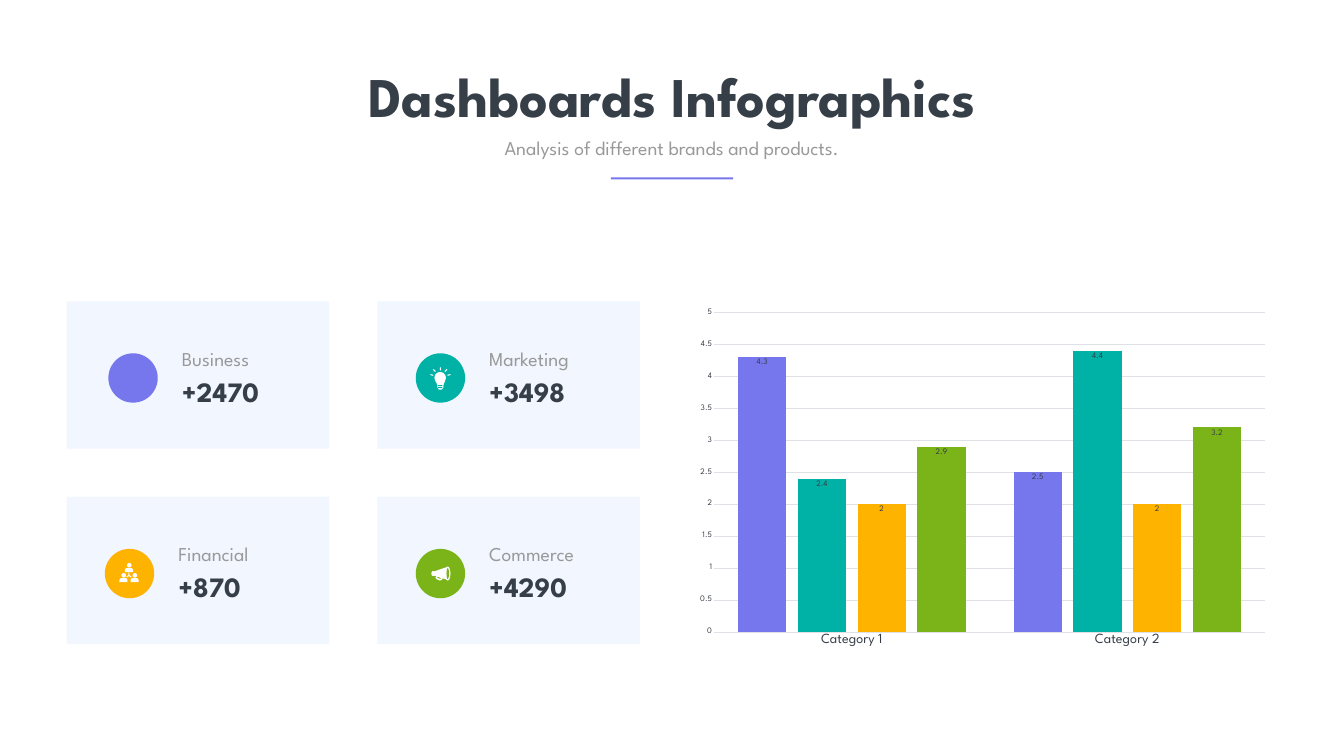
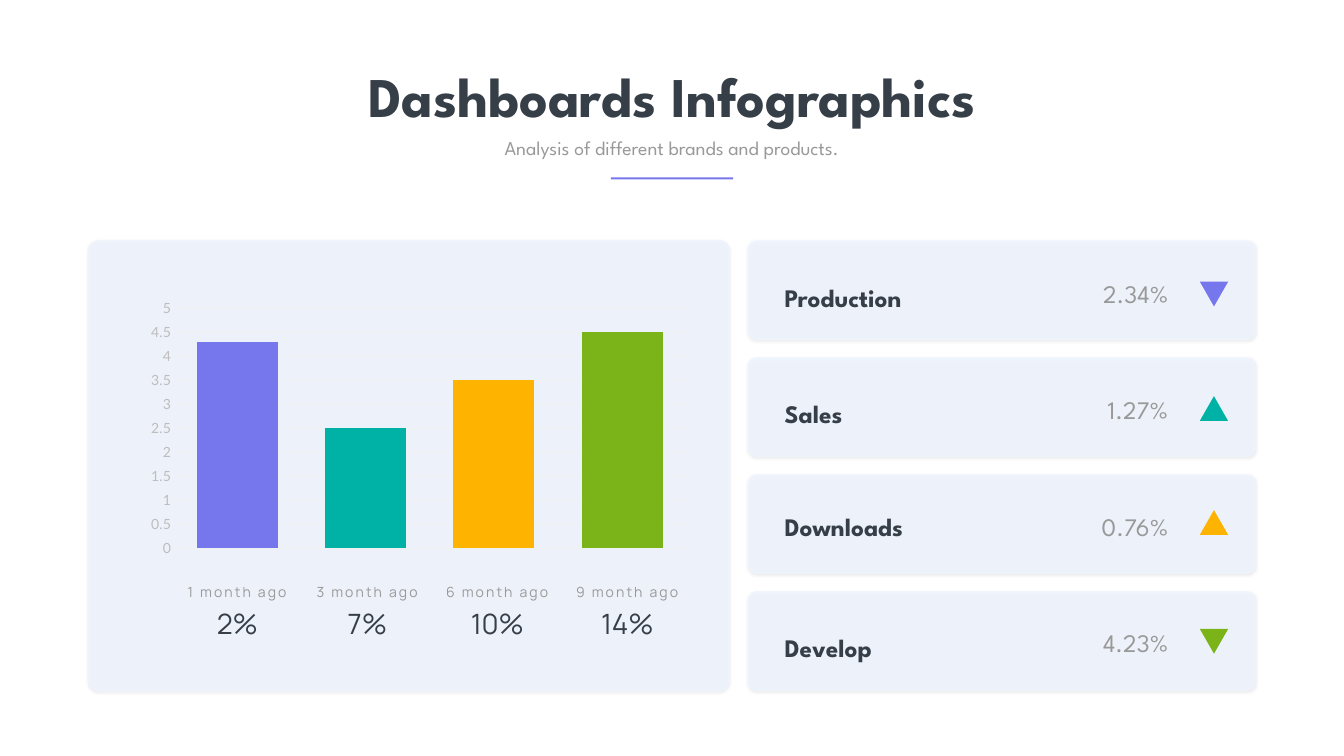
from dataclasses import dataclass

from lxml import etree
from pptx import Presentation
from pptx.chart.data import CategoryChartData
from pptx.dml.color import RGBColor
from pptx.enum.chart import XL_CHART_TYPE, XL_LABEL_POSITION, XL_TICK_MARK
from pptx.enum.shapes import MSO_SHAPE
from pptx.enum.text import MSO_AUTO_SIZE, PP_ALIGN
from pptx.oxml.ns import qn
from pptx.util import Inches, Pt

RECT = MSO_SHAPE.RECTANGLE
ROUNDED = MSO_SHAPE.ROUNDED_RECTANGLE
OVAL = MSO_SHAPE.OVAL
TRIANGLE = MSO_SHAPE.ISOSCELES_TRIANGLE
SHOULDERS = MSO_SHAPE.ROUND_2_SAME_RECTANGLE
COLUMNS = XL_CHART_TYPE.COLUMN_CLUSTERED
INSIDE_END = XL_LABEL_POSITION.INSIDE_END
NO_TICK = XL_TICK_MARK.NONE
LEFT, CENTER, RIGHT = PP_ALIGN.LEFT, PP_ALIGN.CENTER, PP_ALIGN.RIGHT
FIT_TEXT = MSO_AUTO_SIZE.SHAPE_TO_FIT_TEXT


@dataclass(frozen=True)
class Theme:
    ink: str = "363E48"
    grey: str = "999999"
    scale_grey: str = "BDBDBD"
    grid: str = "DEE2E6"
    pale_grid: str = "F0F0F0"
    card: str = "EEF4FF"
    shadow: str = "000104"
    white: str = "FFFFFF"
    accents: tuple = ("7676ED", "00B2A6", "FEB300", "7AB418")
    main_font: str = "League Spartan"
    month_font: str = "Manrope"
    scale_font: str = "Lato"
    title: int = 80
    figure: int = 40
    row: int = 36
    label: int = 28
    small: int = 20
    tiny: int = 12


THEME = Theme()
VIOLET, TEAL, AMBER, GREEN = THEME.accents
CIRCLE = 0.98


def rgb(color):
    return RGBColor.from_string(color)


def style_font(font, size, color, name=THEME.main_font, bold=False):
    for key, value in {"size": Pt(size), "name": name, "bold": bold}.items():
        setattr(font, key, value)
    font.color.rgb = rgb(color)


def paint(shape, color):
    shape.shadow.inherit = False
    shape.fill.solid()
    shape.fill.fore_color.rgb = rgb(color)
    shape.line.fill.background()
    return shape


def add_block(slide, kind, left, top, width, height, color, rotation=0):
    shape = slide.shapes.add_shape(
        kind, Inches(left), Inches(top), Inches(width), Inches(height))
    shape.rotation = rotation
    return paint(shape, color)


def add_outline(slide, left, top, contours, color):
    """Draw closed contours, in hundredths of an inch; an inner one is a hole."""
    first, *holes = contours
    builder = slide.shapes.build_freeform(*first[0], scale=Inches(0.01))
    builder.add_line_segments(first[1:])
    for hole in holes:
        builder.move_to(*hole[0])
        builder.add_line_segments(hole[1:])
    return paint(builder.convert_to_shape(Inches(left), Inches(top)), color)


def add_text(slide, text, left, top, width, height, size, color, align=LEFT,
             name=THEME.main_font, bold=False, spacing=None, tracking=0, wrap=True):
    box = slide.shapes.add_textbox(
        Inches(left), Inches(top), Inches(width), Inches(height))
    frame = box.text_frame
    frame.word_wrap = wrap
    frame.auto_size = FIT_TEXT
    paragraph = frame.paragraphs[0]
    paragraph.alignment = align
    paragraph.line_spacing = spacing
    run = paragraph.add_run()
    run.text = text
    style_font(run.font, size, color, name, bold)
    if tracking:
        run._r.get_or_add_rPr().set("spc", str(tracking * 100))


def add_card(slide, kind, left, top, width, height):
    """Add a panel filled at 80% opacity."""
    card = add_block(slide, kind, left, top, width, height, THEME.card)
    tint = card._element.spPr.find(f"{qn('a:solidFill')}/{qn('a:srgbClr')}")
    etree.SubElement(tint, qn("a:alpha"), val="80000")
    return card


def add_raised_card(slide, left, top, width, height, radius):
    card = add_card(slide, ROUNDED, left, top, width, height)
    card.adjustments[0] = radius
    effects = card._element.spPr.find(qn("a:effectLst"))
    shadow = etree.SubElement(
        effects, qn("a:outerShdw"), blurRad=str(Pt(4)), dist=str(Pt(1)),
        dir="5400000", algn="t", rotWithShape="0")
    tint = etree.SubElement(shadow, qn("a:srgbClr"), val=THEME.shadow)
    etree.SubElement(tint, qn("a:alpha"), val="10000")


def add_header(slide):
    add_text(slide, "Dashboards Infographics", 6.45, 1.17, 13.77, 1.45,
             THEME.title, THEME.ink, CENTER, bold=True, wrap=False)
    add_text(slide, "Analysis of different brands and products.",
             8.55, 2.65, 9.56, 0.57, THEME.label, THEME.grey, CENTER)
    add_block(slide, RECT, 12.12, 3.52, 2.43, 0.04, VIOLET)


def add_column_chart(slide, area, categories, series_values, gap, overlap,
                     font, scale_size, scale_color, grid_color):
    data = CategoryChartData()
    data.categories = categories
    for number, values in enumerate(series_values, 1):
        data.add_series(f"Series {number}", values)
    chart = slide.shapes.add_chart(COLUMNS, *map(Inches, area), data).chart
    chart.has_legend = chart.has_title = False
    style_font(chart.font, scale_size, THEME.grey, font)
    plot = chart.plots[0]
    for key, value in {"gap_width": gap, "overlap": overlap,
                       "vary_by_categories": False}.items():
        setattr(plot, key, value)
    scale = chart.value_axis
    for key, value in {"minimum_scale": 0, "maximum_scale": 5, "major_unit": 0.5,
                       "major_tick_mark": NO_TICK, "minor_tick_mark": NO_TICK,
                       "has_major_gridlines": True}.items():
        setattr(scale, key, value)
    style_font(scale.tick_labels.font, scale_size, scale_color, font)
    scale.format.line.fill.background()
    grid = scale.major_gridlines.format.line
    grid.width = Pt(0.75)
    grid.color.rgb = rgb(grid_color)
    for series, color in zip(plot.series, THEME.accents):
        fill_bar(series, color)
    return chart


def fill_bar(bar, color):
    bar.format.fill.solid()
    bar.format.fill.fore_color.rgb = rgb(color)


def draw_bulb(slide, left, top):
    white = THEME.white
    add_block(slide, OVAL, left + 0.37, top + 0.37, 0.23, 0.23, white)
    add_outline(slide, left, top, [
        [(39, 55), (58, 55), (55, 63), (55, 68),
         (51, 72), (46, 72), (43, 68), (43, 63)]], white)
    for stripe in (0.63, 0.67):
        add_block(slide, RECT, left + 0.44, top + stripe, 0.09, 0.02, TEAL)
    for x, y, angle in ((0.48, 0.28, 0), (0.59, 0.31, 45), (0.36, 0.31, 315),
                        (0.31, 0.4, 285), (0.65, 0.4, 75)):
        add_block(slide, RECT, left + x, top + y, 0.02, 0.06, white, angle)


def draw_team(slide, left, top):
    white = THEME.white
    for x, y in ((0.4, 0.28), (0.29, 0.48), (0.51, 0.48)):
        add_block(slide, OVAL, left + x + 0.04, top + y, 0.09, 0.09, white)
        body = add_block(slide, SHOULDERS, left + x, top + y + 0.1, 0.16, 0.08, white)
        body.adjustments[0] = 0.5
    add_outline(slide, left, top, [
        [(47, 47), (49, 47), (49, 52), (53, 55), (52, 57),
         (48, 54), (44, 57), (43, 55), (47, 52)]], white)


def draw_megaphone(slide, left, top):
    white = THEME.white
    add_block(slide, OVAL, left + 0.31, top + 0.44, 0.07, 0.1, white)
    add_outline(slide, left, top, [
        [(36, 45), (62, 36), (62, 61), (36, 53)]], white)
    add_outline(slide, left, top, [
        [(41, 54), (39, 57), (41, 60), (48, 63), (52, 61), (54, 57)],
        [(42, 57), (44, 55), (50, 58), (49, 60)]], white)
    add_block(slide, OVAL, left + 0.58, top + 0.35, 0.11, 0.28, white)
    add_block(slide, OVAL, left + 0.61, top + 0.38, 0.05, 0.22, GREEN)


def add_metric(slide, left, top, circle_left, label, value, color, draw_icon):
    add_card(slide, RECT, left, top, 5.21, 2.92)
    circle_top = top + 1.03
    add_block(slide, OVAL, circle_left, circle_top, CIRCLE, CIRCLE, color)
    if draw_icon:
        draw_icon(slide, circle_left, circle_top)
    text_left = circle_left + 1.36
    add_text(slide, label, text_left, top + 0.75, 2.33, 0.62,
             THEME.label, THEME.grey, spacing=Pt(40.8))
    add_text(slide, value, text_left, top + 1.4, 2.33, 0.77,
             THEME.figure, THEME.ink, bold=True)


def build_metrics_slide(slide):
    add_header(slide)
    chart = add_column_chart(
        slide, (13.66, 5.98, 11.68, 7), ["Category 1", "Category 2"],
        [(4.3, 2.5), (2.4, 4.4), (2, 2), (2.9, 3.2)], 100, -24,
        THEME.main_font, THEME.tiny, THEME.ink, THEME.grid)
    axis = chart.category_axis
    axis.major_tick_mark = axis.minor_tick_mark = NO_TICK
    style_font(axis.tick_labels.font, THEME.small, THEME.ink)
    axis.format.line.width = Pt(0.75)
    axis.format.line.color.rgb = rgb(THEME.grid)
    for series in chart.plots[0].series:
        labels = series.data_labels
        labels.show_value = True
        labels.position = INSIDE_END
        style_font(labels.font, THEME.tiny, THEME.ink)

    metrics = [
        ("Business", "+2470", 2.15, None),
        ("Marketing", "+3498", 8.25, draw_bulb),
        ("Financial", "+870", 2.08, draw_team),
        ("Commerce", "+4290", 8.25, draw_megaphone),
    ]
    for index, (label, value, circle_left, draw_icon) in enumerate(metrics):
        row, column = divmod(index, 2)
        add_metric(slide, 1.32 + 6.17 * column, 5.98 + 3.88 * row, circle_left,
                   label, value, THEME.accents[index], draw_icon)


def build_trends_slide(slide):
    add_header(slide)
    add_raised_card(slide, 1.75, 4.77, 12.74, 8.96, 0.024)
    chart = add_column_chart(
        slide, (2.78, 5.84, 11.06, 5.31), ["1", "2", "3", "4"],
        [(4.3, 2.5, 3.5, 4.5)], 58, -27,
        THEME.scale_font, THEME.small, THEME.scale_grey, THEME.pale_grid)
    chart.category_axis.visible = False
    for index, color in enumerate(THEME.accents):
        fill_bar(chart.plots[0].series[0].points[index], color)

    months = [("1 month ago", "2%"), ("3 month ago", "7%"),
              ("6 month ago", "10%"), ("9 month ago", "14%")]
    for index, (month, share) in enumerate(months):
        left = 3.46 + 2.58 * index
        add_text(slide, share, left + 0.15, 11.99, 2.2, 0.61,
                 THEME.figure, THEME.ink, CENTER, THEME.month_font)
        add_text(slide, month, left, 11.52, 2.49, 0.35, THEME.small,
                 THEME.grey, CENTER, THEME.month_font, tracking=3)

    trends = [
        ("Production", "2.34%", 5.26, 5.59, 180),
        ("Sales", "1.27%", 7.56, 7.86, 0),
        ("Downloads", "0.76%", 9.8, 10.12, 0),
        ("Develop", "4.23%", 12.2, 12.48, 180),
    ]
    for index, (label, change, label_top, arrow_top, turn) in enumerate(trends):
        add_raised_card(slide, 14.84, 4.77 + 2.32 * index, 10.08, 1.98, 0.083)
        add_text(slide, label, 15.47, label_top, 3.29, 0.93,
                 THEME.row, THEME.ink, bold=True, spacing=1.5)
        add_text(slide, change, 19.99, 5.47 + 2.31 * index, 3.29, 0.74,
                 THEME.row, THEME.grey, RIGHT)
        add_block(slide, TRIANGLE, 23.81, arrow_top, 0.56, 0.49,
                  THEME.accents[index], turn)


def main():
    deck = Presentation()
    deck.slide_width = Inches(26.67)
    deck.slide_height = Inches(15)
    blank = deck.slide_layouts[6]
    for build in (build_metrics_slide, build_trends_slide):
        build(deck.slides.add_slide(blank))
    deck.save("out.pptx")


if __name__ == "__main__":
    main()
